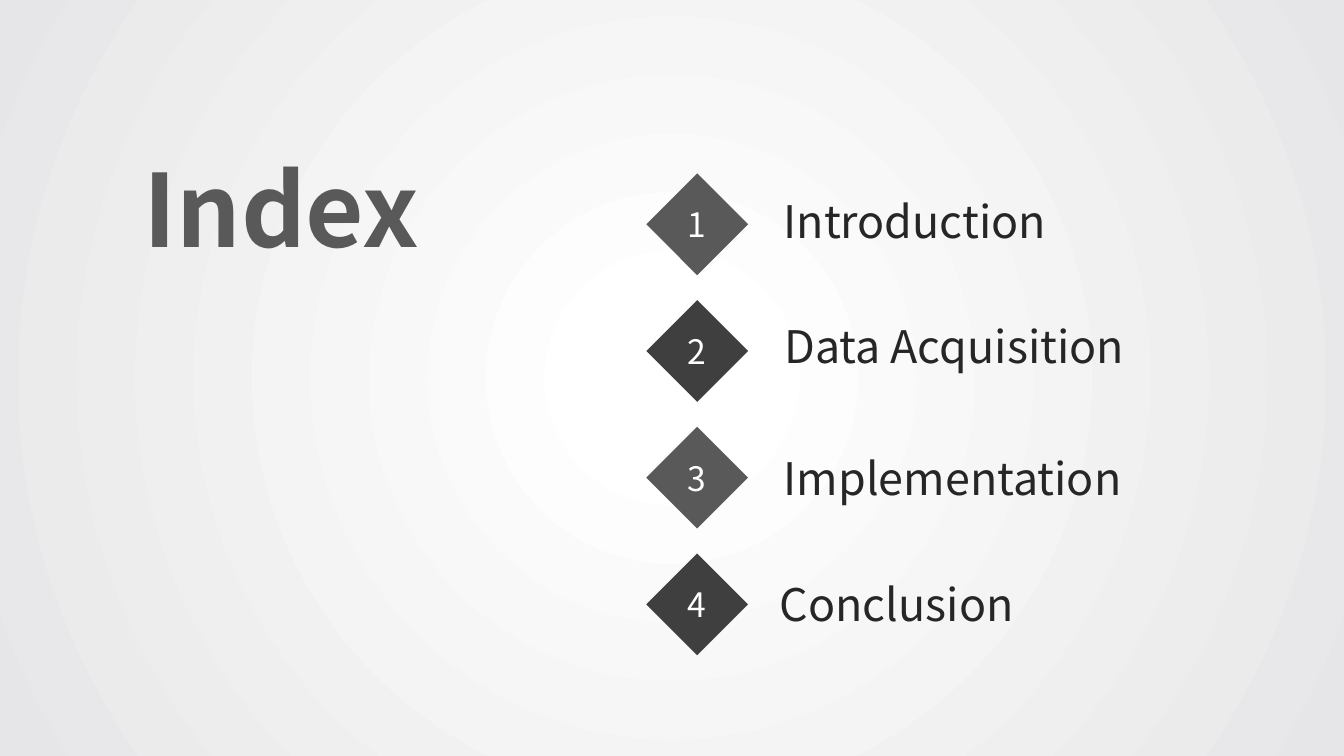
from dataclasses import dataclass

from lxml import etree
from pptx import Presentation
from pptx.dml.color import RGBColor
from pptx.enum.shapes import MSO_SHAPE
from pptx.enum.text import MSO_ANCHOR, MSO_AUTO_SIZE, PP_ALIGN
from pptx.oxml.ns import qn
from pptx.shapes.shapetree import GroupShapes, SlideShapes
from pptx.slide import Slide
from pptx.util import Inches, Pt

DIAMOND = MSO_SHAPE.DIAMOND
TOP, MIDDLE = MSO_ANCHOR.TOP, MSO_ANCHOR.MIDDLE
LEFT, CENTER = PP_ALIGN.LEFT, PP_ALIGN.CENTER
FIT_TEXT = MSO_AUTO_SIZE.SHAPE_TO_FIT_TEXT

FONT = "Noto Sans CJK SC"
WHITE = RGBColor(0xFF, 0xFF, 0xFF)
EDGE_GRAY = RGBColor(0xE6, 0xE6, 0xE8)
GRAY = RGBColor(0x59, 0x59, 0x59)
DARK_GRAY = RGBColor(0x3F, 0x3F, 0x3F)
INK = RGBColor(0x26, 0x26, 0x26)

FIRST_TOP, ROW_PITCH = 1.72, 1.257
DIAMOND_LEFT, DIAMOND_SIZE = 6.41, 1.01
NUMBER_WIDTH, NUMBER_HEIGHT = 0.41, 0.5
LABEL_HEIGHT = 0.63


@dataclass(frozen=True)
class Box:
    left: float
    top: float
    width: float
    height: float


@dataclass(frozen=True)
class Chapter:
    title: str
    label_left: float
    label_top: float
    label_width: float


CHAPTERS = [
    Chapter("Introduction", 7.66, 1.87, 2.83),
    Chapter("Data Acquisition", 7.66, 3.11, 3.61),
    Chapter("Implementation", 7.66, 4.42, 3.58),
    Chapter("Conclusion", 7.48, 5.67, 2.83),
]


def add_text(shapes: SlideShapes | GroupShapes, box: Box, text: str, size: int,
             color: RGBColor, align: PP_ALIGN = CENTER,
             anchor: MSO_ANCHOR = TOP, bold: bool = False) -> None:
    frame = shapes.add_textbox(Inches(box.left), Inches(box.top),
                               Inches(box.width), Inches(box.height)).text_frame
    frame.word_wrap = True
    frame.auto_size = FIT_TEXT
    frame.vertical_anchor = anchor
    frame.margin_left = frame.margin_right = Inches(0.05)
    frame.margin_top = frame.margin_bottom = Inches(0.05)
    frame.text = text
    paragraph = frame.paragraphs[0]
    paragraph.alignment = align
    font = paragraph.runs[0].font
    font.name, font.size, font.bold = FONT, Pt(size), bold
    font.color.rgb = color


def add_chapter(slide: Slide, index: int, chapter: Chapter) -> None:
    parts = slide.shapes.add_group_shape().shapes
    top = FIRST_TOP + index * ROW_PITCH

    marker = parts.add_shape(DIAMOND, Inches(DIAMOND_LEFT), Inches(top),
                             Inches(DIAMOND_SIZE), Inches(DIAMOND_SIZE))
    marker.shadow.inherit = False
    marker.fill.solid()
    marker.fill.fore_color.rgb = DARK_GRAY if index % 2 else GRAY
    marker.line.fill.background()

    number_box = Box(DIAMOND_LEFT + (DIAMOND_SIZE - NUMBER_WIDTH) / 2,
                     top + (DIAMOND_SIZE - NUMBER_HEIGHT) / 2,
                     NUMBER_WIDTH, NUMBER_HEIGHT)
    add_text(parts, number_box, str(index + 1), 24, WHITE, anchor=MIDDLE)

    label_box = Box(chapter.label_left, chapter.label_top,
                    chapter.label_width, LABEL_HEIGHT)
    add_text(parts, label_box, chapter.title, 32, INK)


def set_radial_background(slide: Slide) -> None:
    fill = slide.background.fill
    fill.gradient()
    for stop, position, color in zip(fill.gradient_stops, (0.09, 1), (WHITE, EDGE_GRAY)):
        stop.position = position
        stop.color.rgb = color
    # Turn the linear gradient into a circular one around the centre
    gradient = slide.element.find(".//" + qn("a:gradFill"))
    gradient.remove(gradient.find(qn("a:lin")))
    circle = etree.SubElement(gradient, qn("a:path"), {"path": "circle"})
    etree.SubElement(circle, qn("a:fillToRect"), dict.fromkeys("ltrb", "50000"))


def main() -> None:
    deck = Presentation()
    deck.slide_width, deck.slide_height = Inches(13.33), Inches(7.5)
    slide = deck.slides.add_slide(deck.slide_layouts[6])
    set_radial_background(slide)

    # Numbered chapters
    for index, chapter in enumerate(CHAPTERS):
        add_chapter(slide, index, chapter)

    # Heading
    add_text(slide.shapes, Box(1.37, 1.41, 3.57, 1.29), "Index", 72, GRAY,
             align=LEFT, bold=True)

    deck.save("out.pptx")


if __name__ == "__main__":
    main()
